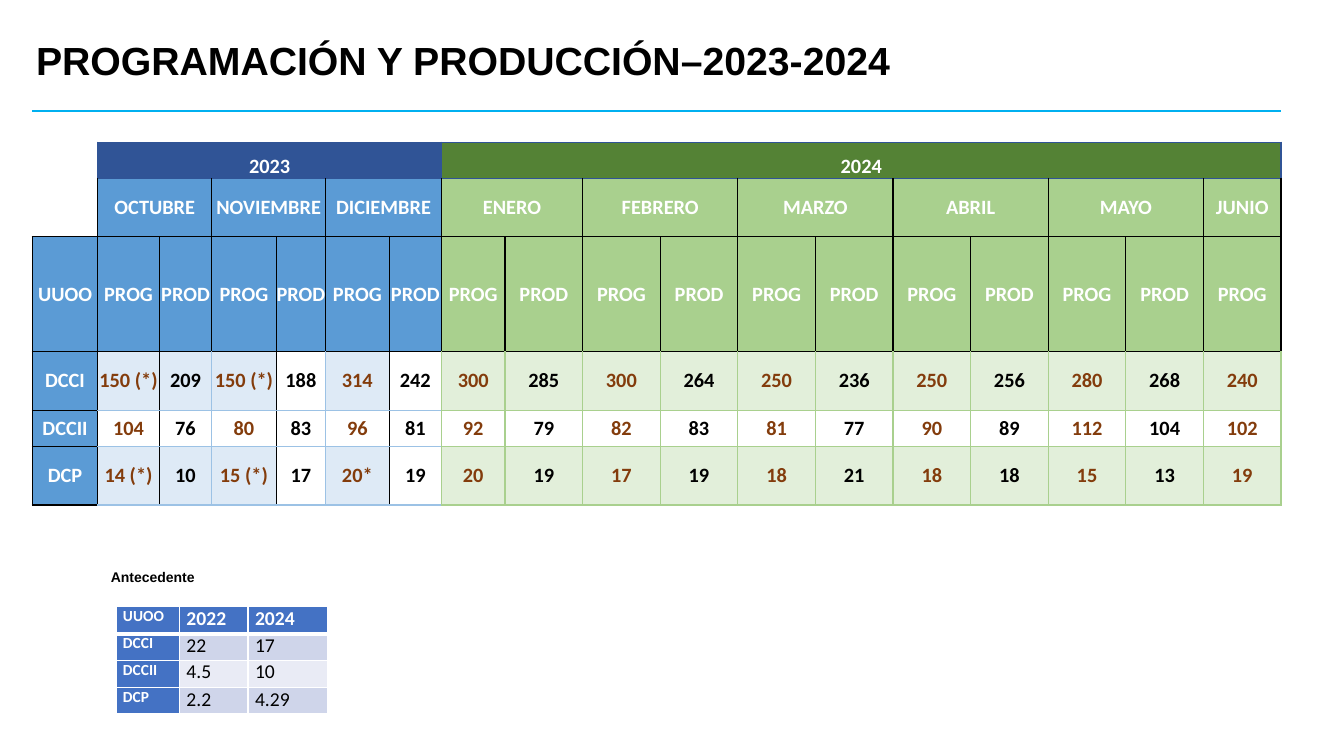
from dataclasses import dataclass

from lxml import etree
from pptx import Presentation
from pptx import util as u
from pptx.dml.color import RGBColor
from pptx.enum import shapes, text
from pptx.oxml.ns import qn

PX = 9144  # EMU per px, 100 px to the inch


@dataclass(frozen=True)
class Theme:
    heading_font: str = "Arial"
    table_font: str = "Calibri"
    title_size: float = 28
    schedule_size: float = 14.5
    history_size: float = 14
    unit_size: float = 11
    caption_size: float = 10
    black: str = "000000"
    white: str = "FFFFFF"
    rule: str = "00B0F0"
    navy: str = "305496"
    blue: str = "5B9BD5"
    blue_line: str = "9CC2E5"
    blue_tint: str = "DEEAF6"
    forest: str = "548235"
    green: str = "A9D08E"
    green_tint: str = "E2EFDA"
    brown: str = "833C0C"
    history_head: str = "4472C4"
    history_dark: str = "CFD5EA"
    history_light: str = "E9EBF5"


T = Theme()

MONTHS = ["OCTUBRE", "NOVIEMBRE", "DICIEMBRE", "ENERO", "FEBRERO", "MARZO", "ABRIL", "MAYO", "JUNIO"]
SCHEDULE = [
    ["DCCI", "150 (*)", "209", "150 (*)", "188", "314", "242", "300", "285", "300", "264",
     "250", "236", "250", "256", "280", "268", "240"],
    ["DCCII", "104", "76", "80", "83", "96", "81", "92", "79", "82", "83",
     "81", "77", "90", "89", "112", "104", "102"],
    ["DCP", "14 (*)", "10", "15 (*)", "17", "20*", "19", "20", "19", "17", "19",
     "18", "21", "18", "18", "15", "13", "19"],
]
SCHEDULE_WIDTHS = [65, 61, 52, 64, 49, 63, 52, 63] + [77] * 10
SCHEDULE_HEIGHTS = [36, 58, 114, 58, 36, 58]
FIRST_2024 = 7  # column where ENERO starts

HISTORY = [
    ["UUOO", "2022", "2024"],
    ["DCCI", "22", "17"],
    ["DCCII", "4.5", "10"],
    ["DCP", "2.2", "4.29"],
]


def px(*lengths):
    return [u.Emu(length * PX) for length in lengths]


def write_text(frame, wording, *, font, size, color=T.black, bold=True, align=None, spacing=None):
    paragraph = frame.paragraphs[0]
    paragraph.alignment = align
    paragraph.line_spacing = spacing
    run = paragraph.add_run()
    run.text = wording
    run.font.name = font
    run.font.size = u.Pt(size)
    run.font.bold = bold
    run.font.color.rgb = RGBColor.from_string(color)


def add_label(slide, box, wording, anchor, left=10, bottom=5, **form):
    frame = slide.shapes.add_textbox(*px(*box)).text_frame
    frame.word_wrap = True
    frame.vertical_anchor = anchor
    frame.margin_left, frame.margin_bottom = px(left, bottom)
    write_text(frame, wording, spacing=0.9, **form)


def add_grid(slide, left, top, widths, heights):
    box = px(left, top, sum(widths), sum(heights))
    table = slide.shapes.add_table(len(heights), len(widths), *box).table
    table.first_row = table.horz_banding = False
    for column, width in zip(table.columns, px(*widths)):
        column.width = width
    for row, height in zip(table.rows, px(*heights)):
        row.height = height
    return table


def draw_borders(cell, edges):
    """Take (colour, points) or None for the left, right, top and bottom edge."""
    properties = cell._tc.get_or_add_tcPr()
    for side, edge in zip("LRTB", edges):
        line = etree.SubElement(properties, qn(f"a:ln{side}"))
        if edge is None:
            etree.SubElement(line, qn("a:noFill"))
            continue
        color, points = edge
        line.set("w", str(u.Pt(points)))
        fill = etree.SubElement(line, qn("a:solidFill"))
        etree.SubElement(fill, qn("a:srgbClr"), val=color)


def style_cell(cell, row, col, fill, vertical_edge, horizontal_edge, side_margin=0):
    cell.margin_left, cell.margin_right, cell.margin_top, cell.margin_bottom = px(
        side_margin, side_margin, 0, 0)
    if not cell.is_spanned:
        right = col + (cell.span_width if cell.is_merge_origin else 1)
        bottom = row + (cell.span_height if cell.is_merge_origin else 1)
        draw_borders(cell, [vertical_edge(row, col), vertical_edge(row, right),
                            horizontal_edge(row, col), horizontal_edge(bottom, col)])
    if fill:
        cell.fill.solid()
        cell.fill.fore_color.rgb = RGBColor.from_string(fill)
    else:
        cell.fill.background()


def schedule_vertical(row, col):
    """Edge to the left of a column in the schedule."""
    if row < 2 and col == 0:
        return None
    if row == 0:
        return T.navy, 1
    if row == 1:
        return T.black, 1
    if row == 2:
        return T.black, 0.5 if 2 <= col < FIRST_2024 else 1
    if col < 2:
        return T.black, 1
    if col >= FIRST_2024:
        return T.green, 1
    return (T.blue_line, 1) if col % 2 else (T.black, 0.5)


def schedule_horizontal(row, col):
    """Edge above a row in the schedule."""
    if row < 2:
        return (T.navy, 1) if col else None
    if row < 4:
        return T.black, 1
    if col == 0:
        return T.black, 1 if row == 6 else 0.5
    return (T.green if col >= FIRST_2024 else T.blue_line), 1


def schedule_fill(row, col):
    in_2024 = col >= FIRST_2024
    if col == 0:
        return T.blue if row > 1 else None
    if row == 0:
        return T.forest if in_2024 else T.navy
    if row < 3:
        return T.green if in_2024 else T.blue
    if row == 4 or col in (4, 6):
        return None
    return T.green_tint if in_2024 else T.blue_tint


def schedule_color(row, col):
    if row < 3 or col == 0:
        return T.white
    return T.brown if col % 2 else T.black


def add_schedule(slide, left, top):
    table = add_grid(slide, left, top, SCHEDULE_WIDTHS, SCHEDULE_HEIGHTS)
    count = len(SCHEDULE_WIDTHS)
    table.cell(0, 0).merge(table.cell(1, 0))
    table.cell(0, 1).merge(table.cell(0, FIRST_2024 - 1))
    table.cell(0, FIRST_2024).merge(table.cell(0, count - 1))
    for col in range(1, count - 1, 2):
        table.cell(1, col).merge(table.cell(1, col + 1))
    wording = {(0, 1): "2023", (0, FIRST_2024): "2024", (2, 0): "UUOO"}
    wording.update({(1, 1 + 2 * i): month for i, month in enumerate(MONTHS)})
    wording.update({(2, col): "PROG" if col % 2 else "PROD" for col in range(1, count)})
    wording.update({(3 + i, col): value for i, unit in enumerate(SCHEDULE)
                    for col, value in enumerate(unit)})
    for row in range(len(SCHEDULE_HEIGHTS)):
        for col in range(count):
            cell = table.cell(row, col)
            style_cell(cell, row, col, schedule_fill(row, col), schedule_vertical, schedule_horizontal)
            cell.vertical_anchor = text.MSO_ANCHOR.MIDDLE if row else text.MSO_ANCHOR.BOTTOM
            if (row, col) in wording:
                write_text(cell.text_frame, wording[row, col], font=T.table_font, size=T.schedule_size,
                           color=schedule_color(row, col), align=text.PP_ALIGN.CENTER)


def add_history(slide, left, top):
    table = add_grid(slide, left, top, [63, 68, 79], [27, 26, 27, 26])
    for row, values in enumerate(HISTORY):
        for col, value in enumerate(values):
            heading = row == 0 or col == 0
            fill = T.history_head if heading else T.history_dark if row % 2 else T.history_light
            cell = table.cell(row, col)
            style_cell(cell, row, col, fill, lambda r, c: (T.white, 1),
                       lambda r, c: (T.white, 3 if r == 1 else 1), side_margin=7)
            write_text(cell.text_frame, value, font=T.table_font, bold=heading,
                       size=T.history_size if col else T.unit_size,
                       color=T.white if heading else T.black)


def add_heading(slide, left, top, width):
    add_label(slide, (left - 6, top, 1150, 70), "PROGRAMACIÓN Y PRODUCCIÓN–2023-2024",
              text.MSO_ANCHOR.MIDDLE, font=T.heading_font, size=T.title_size)
    ends = px(left, top + 83, left + width, top + 83)
    rule = slide.shapes.add_connector(shapes.MSO_CONNECTOR.STRAIGHT, *ends)
    rule.line.color.rgb = RGBColor.from_string(T.rule)
    rule.line.width = u.Pt(1.5)
    etree.SubElement(rule._element.spPr, qn("a:effectLst"))


def main():
    deck = Presentation()
    deck.slide_width, deck.slide_height = px(1333, 750)
    slide = deck.slides.add_slide(deck.slide_layouts[6])
    add_heading(slide, 32, 27, 1239)
    add_schedule(slide, 32, 141)
    add_history(slide, 115, 602)
    add_label(slide, (43, 527, 333, 65), "Antecedente", text.MSO_ANCHOR.BOTTOM, left=67, bottom=11,
              font=T.heading_font, size=T.caption_size)
    deck.save("out.pptx")


if __name__ == "__main__":
    main()
